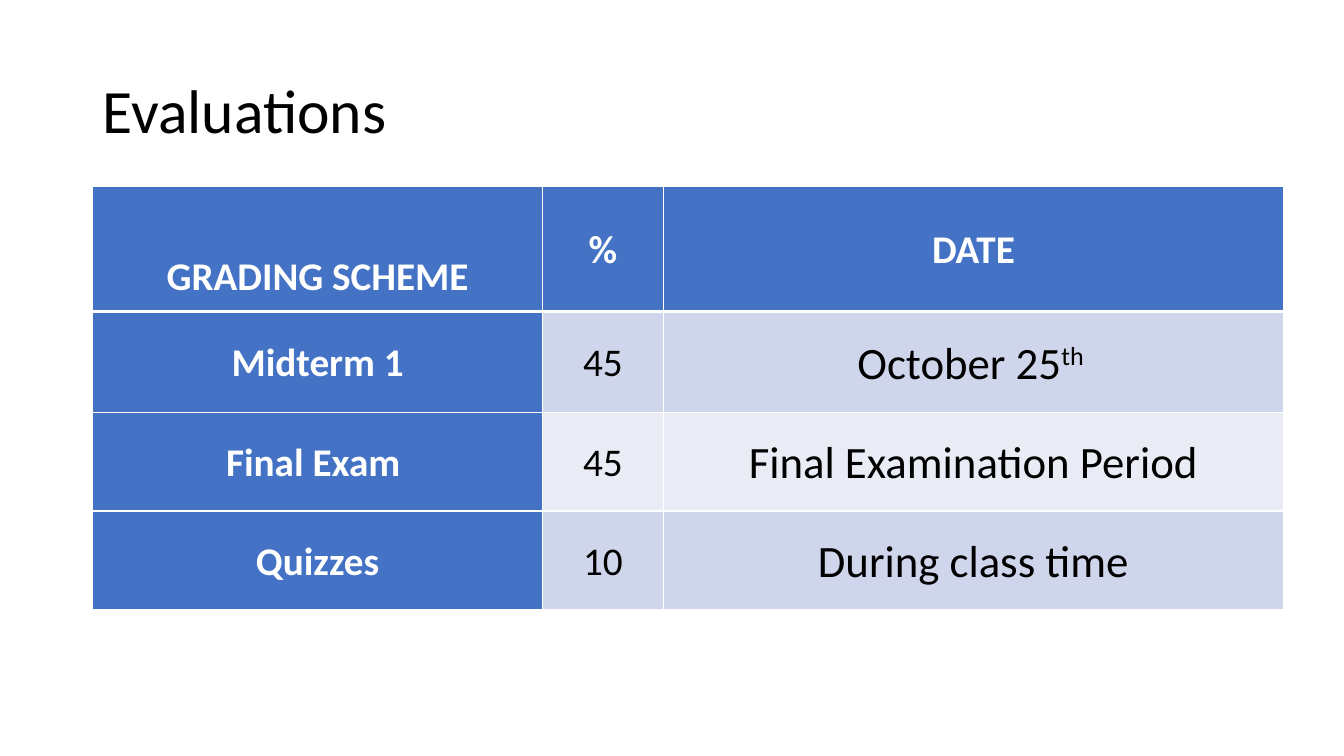
"""Build the Evaluations slide with its grading table."""
from dataclasses import dataclass

from lxml import etree
from pptx import Presentation
from pptx.dml.color import RGBColor
from pptx.enum.text import MSO_ANCHOR, PP_ALIGN
from pptx.oxml.ns import qn
from pptx.util import Inches, Pt

MIDDLE = MSO_ANCHOR.MIDDLE
LEFT, CENTER = PP_ALIGN.LEFT, PP_ALIGN.CENTER


@dataclass(frozen=True)
class Theme:
    font: str = "Calibri"
    ink: str = "000000"
    white: str = "FFFFFF"
    accent: str = "4472C4"
    bands: tuple = ("CFD5EA", "E9EBF5")
    title_size: int = 44
    label_size: int = 28
    date_size: int = 32
    thin: int = 1
    thick: int = 3


class SlideBuilder:
    def __init__(self, slide, theme):
        self.slide = slide
        self.theme = theme

    def apply(self, target, formats):
        for name, value in formats.items():
            setattr(target, name, value)

    def add_text(self, frame, spans, size, color, bold, align, spacing):
        para = frame.paragraphs[0]
        self.apply(para, {"alignment": align, "line_spacing": spacing})
        for text, baseline in spans:
            span = para.add_run()
            span.text = text
            self.apply(span.font, {"name": self.theme.font, "size": Pt(size), "bold": bold})
            span.font.color.rgb = RGBColor.from_string(color)
            if baseline:
                span.font._element.set("baseline", str(baseline * 1000))

    def title(self, text, left, top, width, height):
        box = self.slide.shapes.add_textbox(*map(Inches, (left, top, width, height)))
        self.apply(box.text_frame, {"word_wrap": True, "vertical_anchor": MIDDLE})
        self.add_text(box.text_frame, [(text, 0)], self.theme.title_size,
                      self.theme.ink, False, LEFT, 0.9)

    def border(self, cell, side, width):
        line = etree.SubElement(cell._tc.get_or_add_tcPr(), qn(f"a:ln{side}"), w=str(Pt(width)))
        fill = etree.SubElement(line, qn("a:solidFill"))
        etree.SubElement(fill, qn("a:srgbClr"), val=self.theme.white)

    def cell(self, cell, spans, row, column):
        theme = self.theme
        heading = row == 0 or column == 0
        drop = 0.52 if row == column == 0 else 0
        self.apply(cell, {
            "vertical_anchor": MIDDLE,
            "margin_left": Inches(0.07), "margin_right": Inches(0.07),
            "margin_top": Inches(drop), "margin_bottom": 0,
        })
        thick_side = {0: "B", 1: "T"}.get(row)
        for side in "LRTB":
            self.border(cell, side, theme.thick if side == thick_side else theme.thin)
        cell.fill.solid()
        color = theme.accent if heading else theme.bands[(row - 1) % 2]
        cell.fill.fore_color.rgb = RGBColor.from_string(color)
        size = theme.date_size if column == 2 and not heading else theme.label_size
        self.add_text(cell.text_frame, spans, size,
                      theme.white if heading else theme.ink, heading, CENTER, 1.07)

    def table(self, rows, left, top, widths, heights):
        frame = self.slide.shapes.add_table(
            len(heights), len(widths),
            *map(Inches, (left, top, sum(widths), sum(heights))))
        grid = frame.table
        for column, width in zip(grid.columns, widths):
            column.width = Inches(width)
        for row, height in zip(grid.rows, heights):
            row.height = Inches(height)
        for row, entries in enumerate(rows):
            for column, entry in enumerate(entries):
                spans = [(entry, 0)] if isinstance(entry, str) else entry
                self.cell(grid.cell(row, column), spans, row, column)


GRADING = [
    ("GRADING SCHEME", "%", "DATE"),
    ("Midterm 1", "45", [("October 25", 0), ("th ", 30)]),
    ("Final Exam ", "45", "Final Examination Period"),
    ("Quizzes", "10", "During class time"),
]

deck = Presentation()
deck.slide_width, deck.slide_height = Inches(13.33), Inches(7.5)
page = SlideBuilder(deck.slides.add_slide(deck.slide_layouts[6]), Theme())
page.title("Evaluations", 0.92, 0.4, 11.5, 1.45)
page.table(GRADING, 0.92, 1.85, (4.46, 1.2, 6.15), (1.24, 1, 0.98, 0.98))
deck.save("out.pptx")
